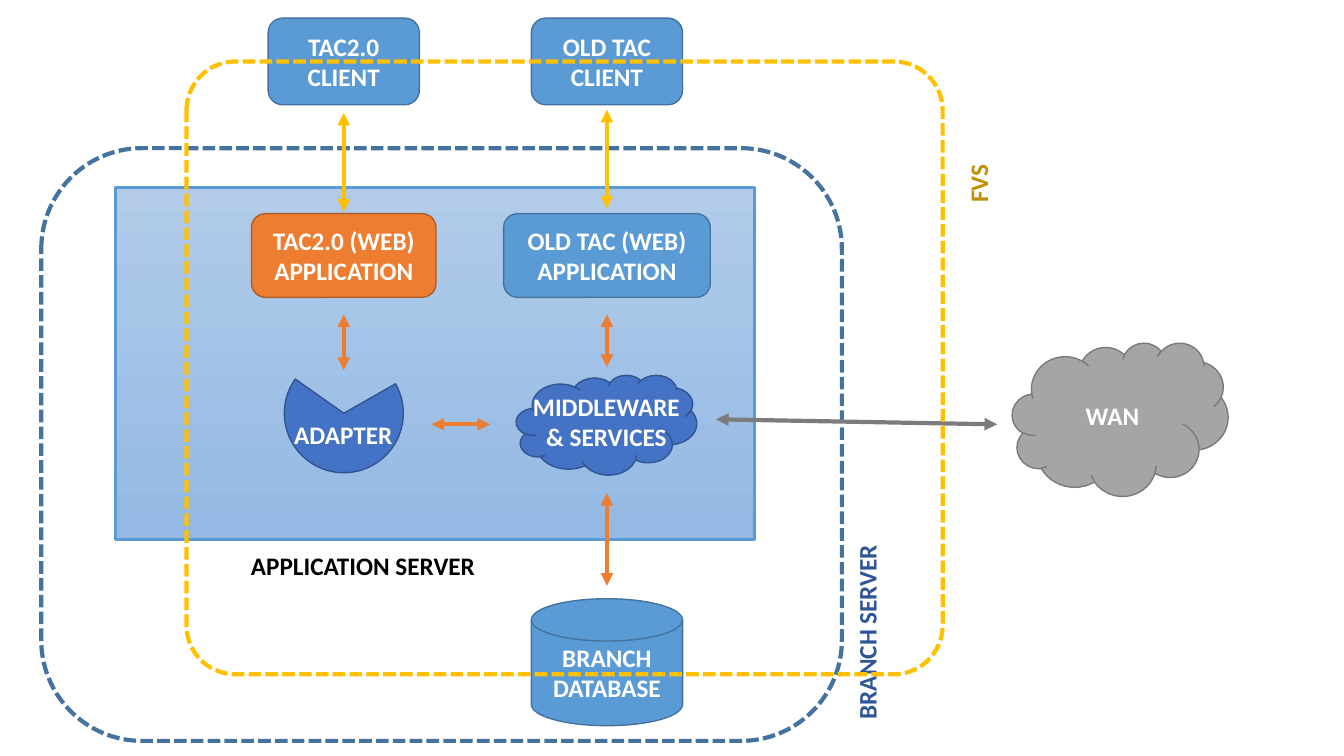
from lxml.etree import SubElement
from pptx import Presentation
from pptx.dml.color import RGBColor
from pptx.enum.dml import MSO_LINE
from pptx.enum.shapes import MSO_CONNECTOR, MSO_SHAPE
from pptx.enum.text import MSO_ANCHOR, MSO_AUTO_SIZE, PP_ALIGN
from pptx.oxml.ns import qn
from pptx.util import Inches, Pt

WHITE, BLUE, BLUE_EDGE = "FFFFFF", "5B9BD5", "43739E"
NAVY, NAVY_EDGE = "4472C4", "325491"
ORANGE, YELLOW, GREY = "ED7D31", "FFC000", "7C7C7C"
# Centres of the new and old columns, from the server's left edge
NEW_COLUMN, OLD_COLUMN = 2.26, 4.87


def colour(hex_string):
    return RGBColor.from_string(hex_string)


def write(frame, text, color=WHITE, align=PP_ALIGN.CENTER, anchor=MSO_ANCHOR.MIDDLE, wrap=True):
    """Fill a text frame with one paragraph per line of text."""
    frame.word_wrap = wrap
    frame.vertical_anchor = anchor
    for number, line in enumerate(text.split("\n")):
        paragraph = frame.add_paragraph() if number else frame.paragraphs[0]
        paragraph.alignment = align
        run = paragraph.add_run()
        run.text = line
        run.font.name, run.font.size, run.font.bold = "Calibri", Pt(18), True
        run.font.color.rgb = colour(color)


def add_node(slide, kind, box, fill, edge, text="", weight=1):
    node = slide.shapes.add_shape(kind, *map(Inches, box))
    node.shadow.inherit = False
    if fill:
        node.fill.solid()
        node.fill.fore_color.rgb = colour(fill)
    else:
        node.fill.background()
    node.line.color.rgb = colour(edge)
    node.line.width = Pt(weight)
    if text:
        write(node.text_frame, text)
    return node


def add_label(slide, box, text, rotation=0, **text_format):
    label = slide.shapes.add_textbox(*map(Inches, box))
    label.rotation = rotation
    label.text_frame.auto_size = MSO_AUTO_SIZE.SHAPE_TO_FIT_TEXT
    write(label.text_frame, text, anchor=MSO_ANCHOR.TOP, **text_format)


def add_arrow(slide, start, end, color=ORANGE):
    """Draw a double-headed arrow."""
    points = map(Inches, (*start, *end))
    arrow = slide.shapes.add_connector(MSO_CONNECTOR.STRAIGHT, *points)
    arrow.line.color.rgb = colour(color)
    arrow.line.width = Pt(3)
    outline = arrow.line._get_or_add_ln()
    for tip in ("a:headEnd", "a:tailEnd"):
        SubElement(outline, qn(tip), type="triangle")
    SubElement(arrow._element.spPr, qn("a:effectLst"))


def add_dashed_frame(slide, box, color, rounding):
    frame = add_node(slide, MSO_SHAPE.ROUNDED_RECTANGLE, box, None, color, weight=3)
    frame.line.dash_style = MSO_LINE.SQUARE_DOT
    frame.adjustments[0] = rounding


def add_application_server(slide, box):
    left, top, _, height = box
    server = add_node(slide, MSO_SHAPE.RECTANGLE, box, BLUE, BLUE, weight=2.25)
    server.fill.gradient()
    server.fill.gradient_angle = 270
    for stop, shade in zip(server.fill.gradient_stops, ("B1CBE9", "93B9E4")):
        stop.color.rgb = colour(shade)

    for column, width, text, fill, edge in (
        (NEW_COLUMN, 1.83, "TAC2.0 (WEB) APPLICATION", ORANGE, "AF5C24"),
        (OLD_COLUMN, 2.05, "OLD TAC (WEB) APPLICATION", BLUE, BLUE_EDGE),
    ):
        application = (left + column - width / 2, top + 0.26, width, 0.83)
        add_node(slide, MSO_SHAPE.ROUNDED_RECTANGLE, application, fill, edge, text)

    adapter = add_node(slide, MSO_SHAPE.PIE, (left + 1.67, top + 1.65, 1.18, 1.18), NAVY, NAVY_EDGE)
    adapter.adjustments[0], adapter.adjustments[1] = 198.18, 129.11
    add_label(slide, (left + 1.67, top + 2.25, 1.73, 0.4), "ADAPTER", align=PP_ALIGN.LEFT)
    add_node(slide, MSO_SHAPE.CLOUD, (left + 3.97, top + 1.86, 1.79, 0.99), NAVY, NAVY_EDGE)
    add_label(slide, (left + 3.86, top + 1.97, 2.01, 0.71), "MIDDLEWARE\n& SERVICES")

    for column, end in ((NEW_COLUMN, 1.81), (OLD_COLUMN, 1.78)):
        add_arrow(slide, (left + column, top + 1.26), (left + column, top + end))
    add_arrow(slide, (left + 3.71, top + 2.35), (left + 3.13, top + 2.35))
    add_label(slide, (left + 1.24, top + height + 0.06, 2.44, 0.4), "APPLICATION SERVER",
              color="000000", align=PP_ALIGN.LEFT, wrap=False)


def add_database(slide, box):
    left, top, width, _ = box
    add_node(slide, MSO_SHAPE.FLOWCHART_MAGNETIC_DISK, box, BLUE, BLUE_EDGE, "BRANCH DATABASE")
    centre = left + width / 2
    add_arrow(slide, (centre, top - 1.05), (centre, top - 0.13))


def add_branch_server(slide, box):
    left, top, width, _ = box
    add_dashed_frame(slide, box, BLUE_EDGE, 0.17)
    add_label(slide, (left + width - 0.73, top + 4.59, 1.95, 0.4), "BRANCH SERVER",
              rotation=270, color="2F5597", align=PP_ALIGN.LEFT, wrap=False)


def add_wan(slide, box):
    left, top, _, _ = box
    add_arrow(slide, (left - 2.94, top + 0.76), (left - 0.15, top + 0.81), GREY)
    add_node(slide, MSO_SHAPE.CLOUD, box, "A5A5A5", "7A7A7A", "WAN")


def add_client(slide, box, text, gap):
    """Place a client and, a gap below it, the arrow to its application."""
    left, top, width, height = box
    add_node(slide, MSO_SHAPE.ROUNDED_RECTANGLE, box, BLUE, BLUE_EDGE, text)
    centre, start = left + width / 2, top + height + gap
    add_arrow(slide, (centre, start), (centre, start + 0.98), YELLOW)


def add_fvs(slide, box):
    left, top, width, _ = box
    add_dashed_frame(slide, box, YELLOW, 0.08)
    add_label(slide, (left + width + 0.06, top + 1.01, 0.58, 0.4), "FVS",
              rotation=270, color="BF9000", align=PP_ALIGN.LEFT, wrap=False)


def main():
    presentation = Presentation()
    presentation.slide_width, presentation.slide_height = Inches(13.33), Inches(7.5)
    slide = presentation.slides.add_slide(presentation.slide_layouts[6])
    server_left = 1.15
    add_application_server(slide, (server_left, 1.86, 6.33, 3.49))
    add_database(slide, (server_left + OLD_COLUMN - 0.75, 5.94, 1.5, 1.26))
    add_branch_server(slide, (0.41, 1.47, 7.94, 5.88))
    add_wan(slide, (10.04, 3.4, 2.14, 1.52))
    for column, text, gap in (
        (OLD_COLUMN, "OLD TAC CLIENT", 0.05),
        (NEW_COLUMN, "TAC2.0 CLIENT", 0.08),
    ):
        add_client(slide, (server_left + column - 0.75, 0.18, 1.5, 0.86), text, gap)
    add_fvs(slide, (1.85, 0.61, 7.5, 6.08))
    presentation.save("out.pptx")


if __name__ == "__main__":
    main()
